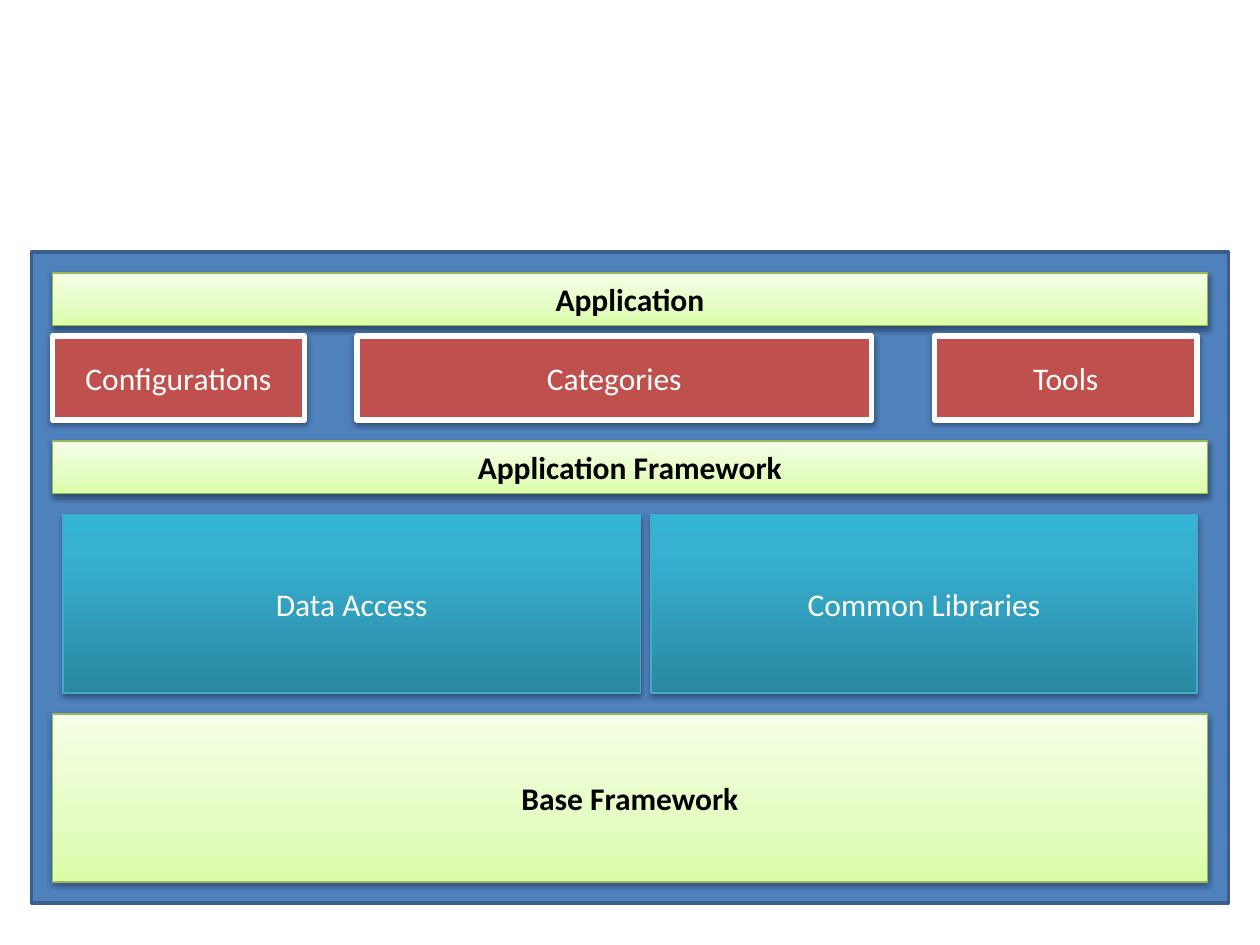
from dataclasses import dataclass
from typing import Optional

from lxml import etree
from pptx import Presentation
from pptx.dml.color import RGBColor
from pptx.enum.shapes import MSO_SHAPE
from pptx.enum.text import MSO_ANCHOR, PP_ALIGN
from pptx.oxml.ns import qn
from pptx.util import Cm, Pt

RECT = MSO_SHAPE.RECTANGLE
MIDDLE = MSO_ANCHOR.MIDDLE
CENTER = PP_ALIGN.CENTER

BLACK = RGBColor(0x00, 0x00, 0x00)
WHITE = RGBColor(0xFF, 0xFF, 0xFF)
BLUE = RGBColor(0x4F, 0x81, 0xBD)
DARK_BLUE = RGBColor(0x3A, 0x5F, 0x8C)
RED = RGBColor(0xC0, 0x50, 0x4D)
GREEN = RGBColor(0x98, 0xB9, 0x55)
GREEN_LOW = RGBColor(0xDA, 0xFD, 0xA7)
GREEN_MID = RGBColor(0xE4, 0xFC, 0xC2)
GREEN_HIGH = RGBColor(0xF5, 0xFF, 0xE7)
TEAL = RGBColor(0x46, 0xAA, 0xC5)
TEAL_LOW = RGBColor(0x2A, 0x88, 0xA2)
TEAL_MID = RGBColor(0x37, 0xB1, 0xD2)
TEAL_HIGH = RGBColor(0x34, 0xB4, 0xD6)

UNITS_PER_INCH = 12


@dataclass(frozen=True)
class Shadow:
    alpha: int  # percent
    distance: float  # points
    blur: float = 3.15


@dataclass(frozen=True)
class Style:
    stops: tuple  # (percent, colour), from bottom to top; one stop is a solid fill
    line: RGBColor
    line_width: float
    shadow: Optional[Shadow] = None
    font_color: RGBColor = WHITE
    bold: bool = False


@dataclass(frozen=True)
class Block:
    """A rectangle placed in grid units of a twelfth of an inch."""
    text: str
    left: int
    top: int
    width: int
    height: int
    style: Style


SOFT = Shadow(38, 1.6)
PANEL = Style(((0, BLUE),), DARK_BLUE, 2)
LAYER = Style(((0, GREEN_LOW), (35, GREEN_MID), (100, GREEN_HIGH)), GREEN, 0.75,
              SOFT, BLACK, True)
MODULE = Style(((0, RED),), WHITE, 3, SOFT)
SERVICE = Style(((0, TEAL_LOW), (80, TEAL_MID), (100, TEAL_HIGH)), TEAL, 0.75,
                Shadow(35, 1.8))

BLOCKS = (
    Block("", 3, 24, 114, 62, PANEL),
    Block("Application", 5, 26, 110, 5, LAYER),
    Block("Configurations", 5, 32, 24, 8, MODULE),
    Block("Categories", 34, 32, 49, 8, MODULE),
    Block("Application Framework", 5, 42, 110, 5, LAYER),
    Block("Base Framework", 5, 68, 110, 16, LAYER),
    Block("Tools", 89, 32, 25, 8, MODULE),
    Block("Data Access", 6, 49, 55, 17, SERVICE),
    Block("Common Libraries", 62, 49, 52, 17, SERVICE),
)


def grid(units: int) -> Cm:
    return Cm(2.54 * units / UNITS_PER_INCH)


def set_fill(sp, stops: tuple) -> None:
    if len(stops) == 1:
        sp.fill.solid()
        sp.fill.fore_color.rgb = stops[0][1]
        return
    sp.fill.gradient()
    sp.fill.gradient_angle = 90
    gs_list = next(sp._element.spPr.iter(qn("a:gsLst")))
    for gs in list(gs_list):
        gs_list.remove(gs)
    for percent, color in stops:
        gs = etree.SubElement(gs_list, qn("a:gs"), pos=str(percent * 1000))
        etree.SubElement(gs, qn("a:srgbClr"), val=str(color))


def set_shadow(sp, shadow: Optional[Shadow]) -> None:
    """Replace the theme shadow with a downward one, or with none."""
    sp.shadow.inherit = False
    if shadow is None:
        return
    effects = sp._element.spPr.find(qn("a:effectLst"))
    outer = etree.SubElement(effects, qn("a:outerShdw"), blurRad=str(Pt(shadow.blur)),
                             dist=str(Pt(shadow.distance)), dir="5400000",
                             rotWithShape="0")
    color = etree.SubElement(outer, qn("a:srgbClr"), val=str(BLACK))
    etree.SubElement(color, qn("a:alpha"), val=str(shadow.alpha * 1000))


def write_text(tf, text: str, *, color: RGBColor, bold: bool = False,
               size: float = 18, font: str = "Calibri") -> None:
    tf.word_wrap = True
    tf.vertical_anchor = MIDDLE
    p = tf.paragraphs[0]
    p.alignment = CENTER
    r = p.add_run()
    r.text = text
    r.font.name = font
    r.font.size = Pt(size)
    r.font.bold = bold
    r.font.color.rgb = color


def draw_block(s, block: Block) -> None:
    style = block.style
    sp = s.shapes.add_shape(RECT, grid(block.left), grid(block.top),
                            grid(block.width), grid(block.height))
    set_fill(sp, style.stops)
    sp.line.color.rgb = style.line
    sp.line.width = Pt(style.line_width)
    set_shadow(sp, style.shadow)
    if block.text:
        write_text(sp.text_frame, block.text, color=style.font_color, bold=style.bold)


def main() -> None:
    prs = Presentation()
    prs.slide_width, prs.slide_height = Cm(25.4), Cm(19.05)
    s = prs.slides.add_slide(prs.slide_layouts[6])
    for block in BLOCKS:
        draw_block(s, block)
    prs.save("out.pptx")


if __name__ == "__main__":
    main()
